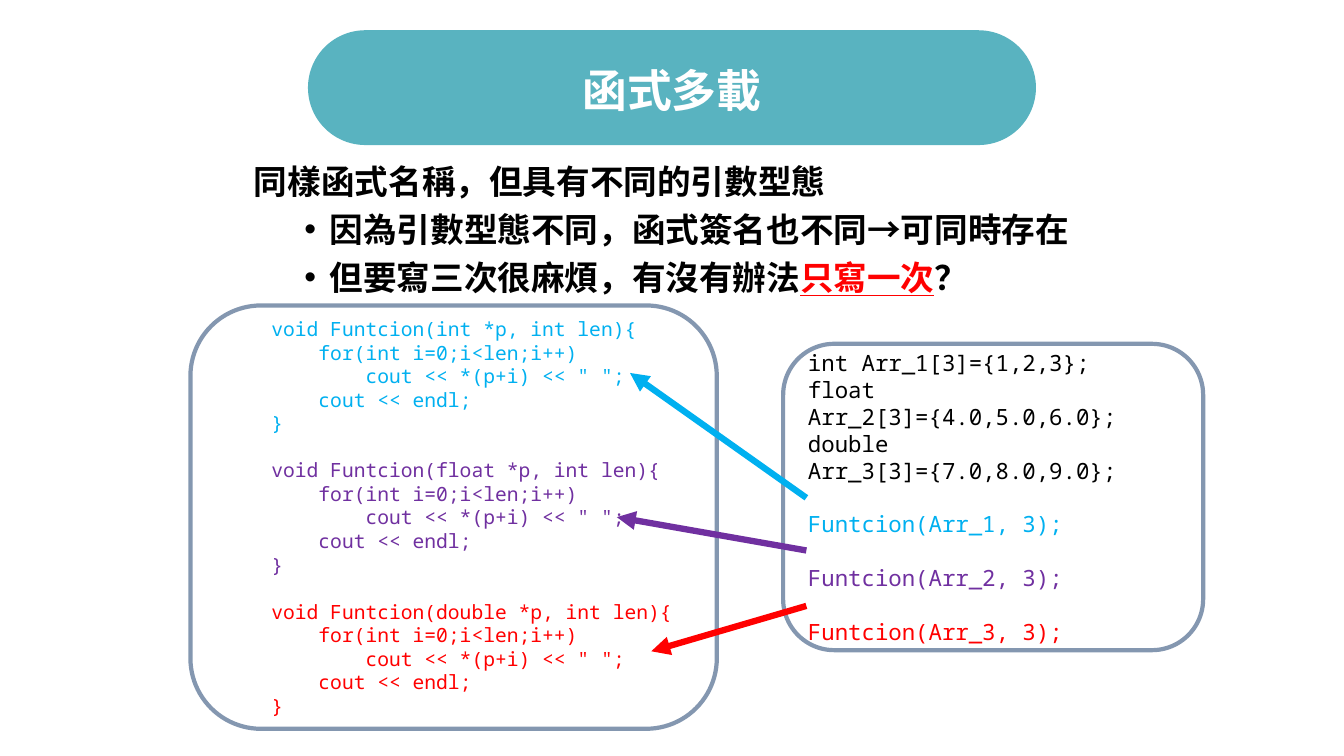
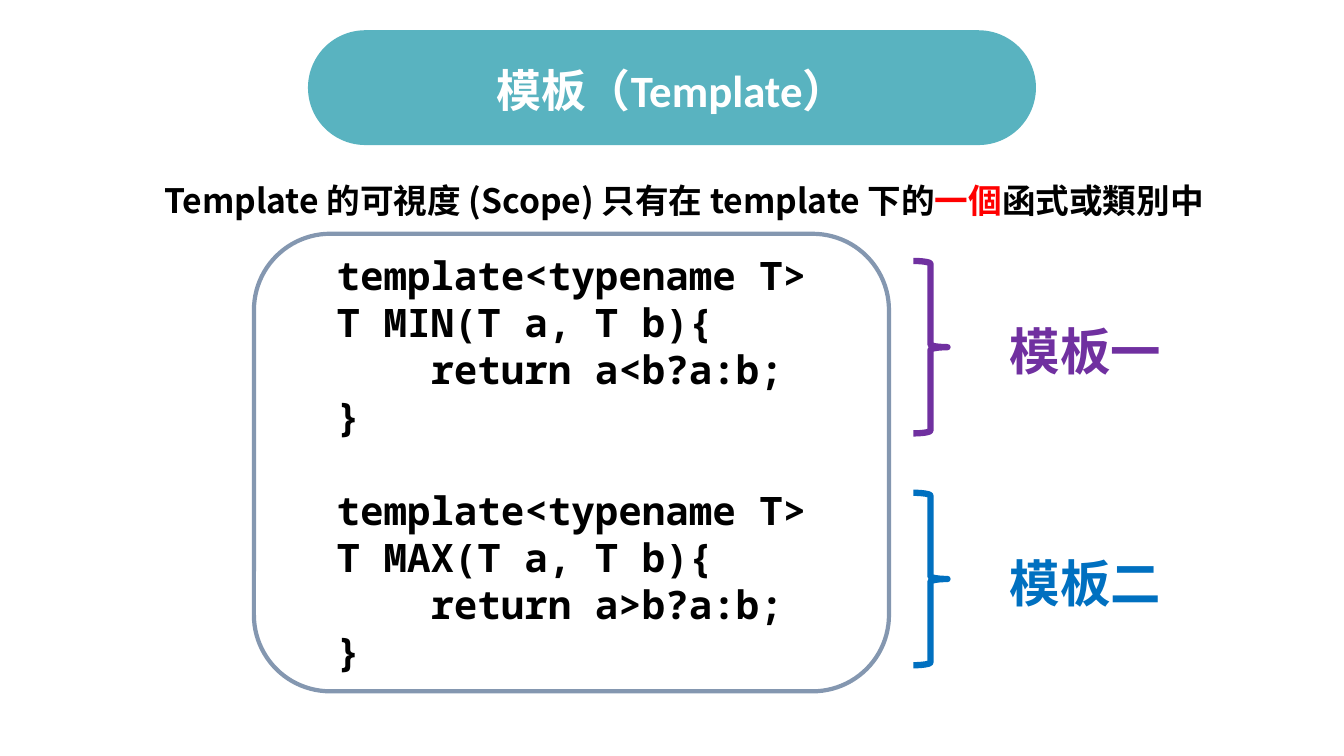
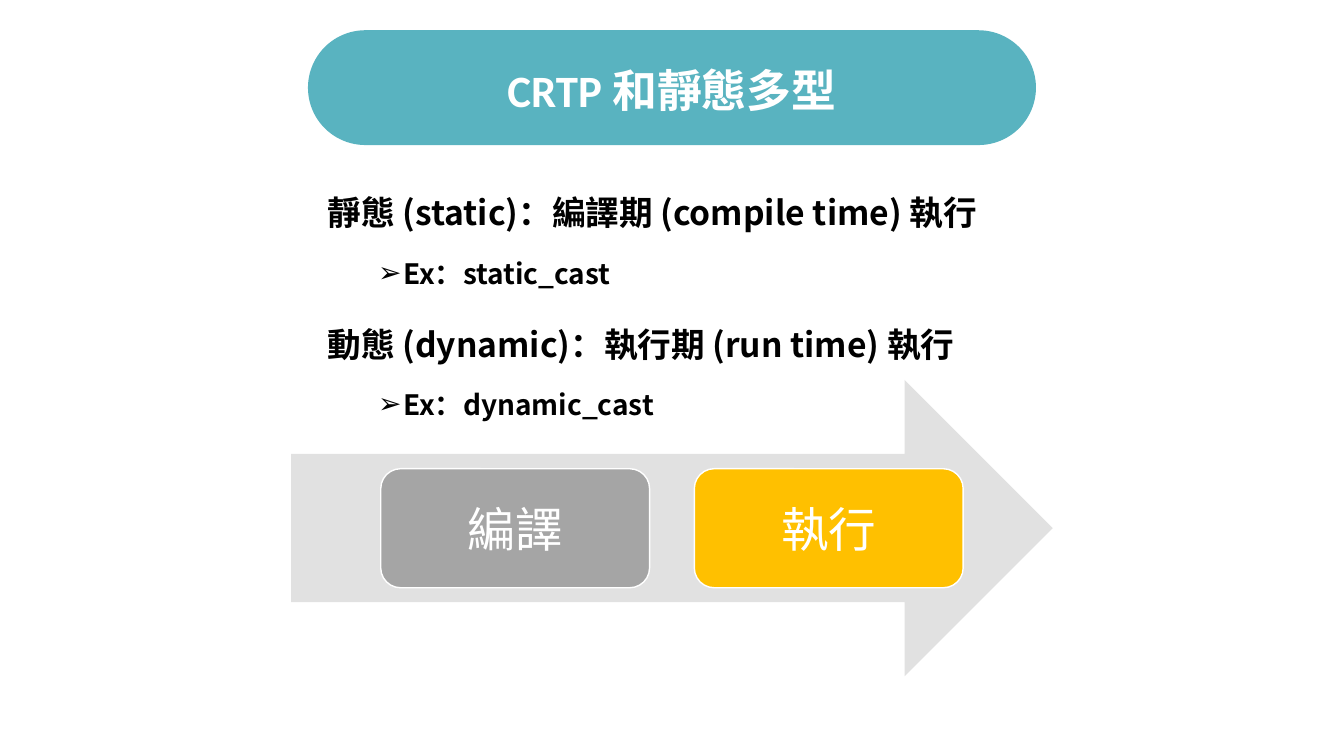
from dataclasses import dataclass
from lxml.etree import SubElement as Sub
from pptx import Presentation
from pptx.dml.color import RGBColor as RGB
from pptx.enum.shapes import MSO_CONNECTOR as Link, MSO_SHAPE as Form
from pptx.enum.text import MSO_ANCHOR as Anchor, MSO_AUTO_SIZE as Fit, PP_ALIGN as Align
from pptx.oxml.ns import qn
from pptx.util import Inches, Pt

COLS, ROWS = 48, 27


@dataclass(frozen=True)
class Theme:
    teal: str = "59B3C0"
    white: str = "FFFFFF"
    black: str = "000000"
    edge: str = "8497B0"
    sky: str = "00B0F0"
    blue: str = "0070C0"
    plum: str = "7030A0"
    red: str = "FF0000"
    pale: str = "E1E1E1"
    gray: str = "A5A5A5"
    gold: str = "FFC000"
    head: str = "Calibri"
    text: str = "Noto Sans CJK TC"
    tag: str = "Noto Sans CJK SC"
    mono: str = "Noto Sans Mono"
    title: int = 32
    large: int = 24
    small: int = 20
    label: int = 36
    stage: int = 34
    tight: float = 1.2
    loose: float = 1.79


class Deck:
    def __init__(self, theme):
        self.theme = theme
        self.file = Presentation()
        self.file.slide_width, self.file.slide_height = Inches(13.33), Inches(7.5)
        self.layout = self.file.slide_layouts[1]
        self.slide = None

    def place(self, *box):
        """Turn columns and rows (left, top, width, height) into lengths."""
        sides = (self.file.slide_width / COLS, self.file.slide_height / ROWS) * 2
        return [int(unit * side) for unit, side in zip(box, sides)]

    def move(self, shape, *box):
        shape.left, shape.top, shape.width, shape.height = self.place(*box)

    def style(self, para, size, tint, face, bold=False, lead=None):
        """Set the font of a paragraph and a line height of lead times the size."""
        para.line_spacing = Pt(round(size * (lead or self.theme.tight), 1))
        font = para.font
        font.size, font.bold, font.name = Pt(size), bold, face
        font.color.rgb = RGB.from_string(tint)
        east = self.theme.text if face == self.theme.head else face
        Sub(para._p.pPr.find(qn("a:defRPr")), qn("a:ea"), typeface=east)

    def shape(self, form, box, fill=None, line=None, width=3):
        item = self.slide.shapes.add_shape(form, *self.place(*box))
        item.shadow.inherit = False
        if fill:
            item.fill.solid()
            item.fill.fore_color.rgb = RGB.from_string(fill)
        else:
            item.fill.background()
        if line:
            item.line.color.rgb = RGB.from_string(line)
            item.line.width = Pt(width)
        else:
            item.line.fill.background()
        return item

    def band(self):
        """Put the title's band and place on the layout, behind every slide."""
        pill = self.shape(Form.ROUNDED_RECTANGLE, (11, 1.08, 26, 4.1), self.theme.teal)
        pill.adjustments[0] = 0.5
        self.layout.shapes._spTree.insert(2, pill._element)
        self.move(self.layout.placeholders[0], 3.3, 1.08, 41.4, 4.1)

    def page(self, title):
        self.slide = self.file.slides.add_slide(self.layout)
        if len(self.file.slides) == 1:
            self.band()
        frame = self.slide.shapes.title.text_frame
        frame.text = title
        frame.auto_size, frame.vertical_anchor = Fit.NONE, Anchor.MIDDLE
        para = frame.paragraphs[0]
        para.alignment = Align.CENTER
        self.style(para, self.theme.title, self.theme.white, self.theme.head, True, 1.3)

    def body(self, box, items, lead, mark="•", sub=None, under=False):
        """Fill the body with (level, parts); every second part is red."""
        holder = self.slide.placeholders[1]
        self.move(holder, *box)
        frame = holder.text_frame
        frame.auto_size, frame.vertical_anchor = Fit.NONE, Anchor.TOP
        for spot, (level, parts) in enumerate(items):
            para = frame.add_paragraph() if spot else frame.paragraphs[0]
            para.level = level
            props = para._p.get_or_add_pPr()
            props.set("marL", str(Inches(0.75 * level)))
            props.set("indent", str(Inches(-0.25 * level)))
            if level:
                Sub(props, qn("a:buChar"), char=mark)
            else:
                Sub(props, qn("a:buNone"))
            para.space_before = Pt((5 if level else 10) if spot else 0)
            size = sub if level and sub else self.theme.large
            self.style(para, size, self.theme.black, self.theme.text, True, lead)
            for turn, words in enumerate(parts):
                run = para.add_run()
                run.text = words
                if turn % 2:
                    run.font.color.rgb = RGB.from_string(self.theme.red)
                    run.font.underline = under

    def code(self, box, blocks, size, bold=False, inset=0.5):
        """Draw a frame with blocks of (colour, code), one line apart."""
        item = self.shape(Form.ROUNDED_RECTANGLE, box, self.theme.white, self.theme.edge)
        frame = item.text_frame
        frame.word_wrap, frame.vertical_anchor = True, Anchor.MIDDLE
        rows = [(tint, line, not spot) for tint, block in blocks
                for spot, line in enumerate(block.split("\n"))]
        for spot, (tint, line, first) in enumerate(rows):
            para = frame.add_paragraph() if spot else frame.paragraphs[0]
            para.text, para.alignment = line, Align.LEFT
            para._p.get_or_add_pPr().set("marL", str(Inches(inset)))
            if spot and first:
                para.space_before = Pt(round(size * self.theme.tight, 1))
            self.style(para, size, tint, self.theme.mono, bold)

    def arrow(self, start, end, tint):
        line = self.slide.shapes.add_connector(
            Link.STRAIGHT, *self.place(*start, *end))
        line.line.color.rgb = RGB.from_string(tint)
        line.line.width = Pt(4.5)
        Sub(line.line._get_or_add_ln(), qn("a:tailEnd"), type="triangle")
        Sub(line._element.spPr, qn("a:effectLst"))

    def label(self, box, words, tint):
        frame = self.slide.shapes.add_textbox(*self.place(*box)).text_frame
        frame.word_wrap = False
        para = frame.paragraphs[0]
        para.text = words
        self.style(para, self.theme.label, tint, self.theme.tag, True)

    def stage(self, box, words, fill):
        item = self.shape(Form.ROUNDED_RECTANGLE, box, fill, self.theme.white, 1)
        item.text_frame.vertical_anchor = Anchor.MIDDLE
        para = item.text_frame.paragraphs[0]
        para.text, para.alignment = words, Align.CENTER
        self.style(para, self.theme.stage, self.theme.white, self.theme.tag)


def loads(deck):
    look = deck.theme
    deck.page("函式多載")
    deck.body((8.71, 5.54, 30.6, 7.6), [
        (0, ["同樣函式名稱，但具有不同的引數型態"]),
        (1, ["因為引數型態不同，函式簽名也不同→可同時存在"]),
        (1, ["但要寫三次很麻煩，有沒有辦法", "只寫一次", "？"]),
    ], 1.22, under=True)
    tints = (look.sky, look.plum, look.red)
    loop = """ *p, int len){
    for(int i=0;i<len;i++)
        cout << *(p+i) << " ";
    cout << endl;
}"""
    deck.code((6.8, 10.91, 18.8, 15.12),
              [(tint, f"void Funtcion({kind}{loop}")
               for tint, kind in zip(tints, ("int", "float", "double"))], 14)
    setup = """int Arr_1[3]={1,2,3};
float Arr_2[3]={4.0,5.0,6.0};
double Arr_3[3]={7.0,8.0,9.0};"""
    calls = [(tint, f"Funtcion(Arr_{num}, 3);") for num, tint in enumerate(tints, 1)]
    deck.code((27.97, 12.28, 15, 10.94), [(look.black, setup)] + calls, 16, inset=0)
    ends = ((17.78, 22.5, 13.32), (19.66, 22.03, 18.47), (21.64, 23.26, 23.26))
    for tint, (top, *tip) in zip(tints, ends):
        deck.arrow((28.8, top), tip, tint)


def scope(deck):
    look = deck.theme
    deck.page("模板（Template）")
    deck.body((5.51, 5.54, 38.7, 4.7), [
        (0, ["Template 的可視度 (Scope) 只有在 template 下的", "一個", "函式或類別中"]),
    ], look.loose)
    deck.code((9.07, 8.35, 22.68, 16.34), [
        (look.black, f"template<typename T>\nT {name}(T a, T b){{\n    return a{sign}b?a:b;\n}}")
        for name, sign in (("MIN", "<"), ("MAX", ">"))], 28, True)
    for spot, (words, tint) in enumerate((("模板一", look.plum), ("模板二", look.blue))):
        drop = 8.28 * spot
        deck.shape(Form.RIGHT_BRACE, (32.62, 9.32 + drop, 1.22, 6.16), line=tint, width=4.5)
        deck.label((35.71, 11.27 + drop, 6.2, 2.56), words, tint)


def phases(deck):
    look = deck.theme
    deck.page("CRTP 和靜態多型")
    deck.body((11.34, 5.98, 34.95, 16.3), [
        (0, ["靜態 (static)：編譯期 (compile time) 執行"]),
        (1, ["Ex：static_cast"]),
        (0, ["動態 (dynamic)：執行期 (run time) 執行"]),
        (1, ["Ex：dynamic_cast"]),
    ], look.loose, "➢", look.small)
    deck.shape(Form.RIGHT_ARROW, (10.4, 13.57, 27.2, 10.58), look.pale)
    for spot, (words, fill) in enumerate((("編譯", look.gray), ("執行", look.gold))):
        deck.stage((13.6 + 11.2 * spot, 16.74, 9.6, 4.25), words, fill)


def main():
    deck = Deck(Theme())
    for build in (loads, scope, phases):
        build(deck)
    deck.file.save("out.pptx")


if __name__ == "__main__":
    main()
